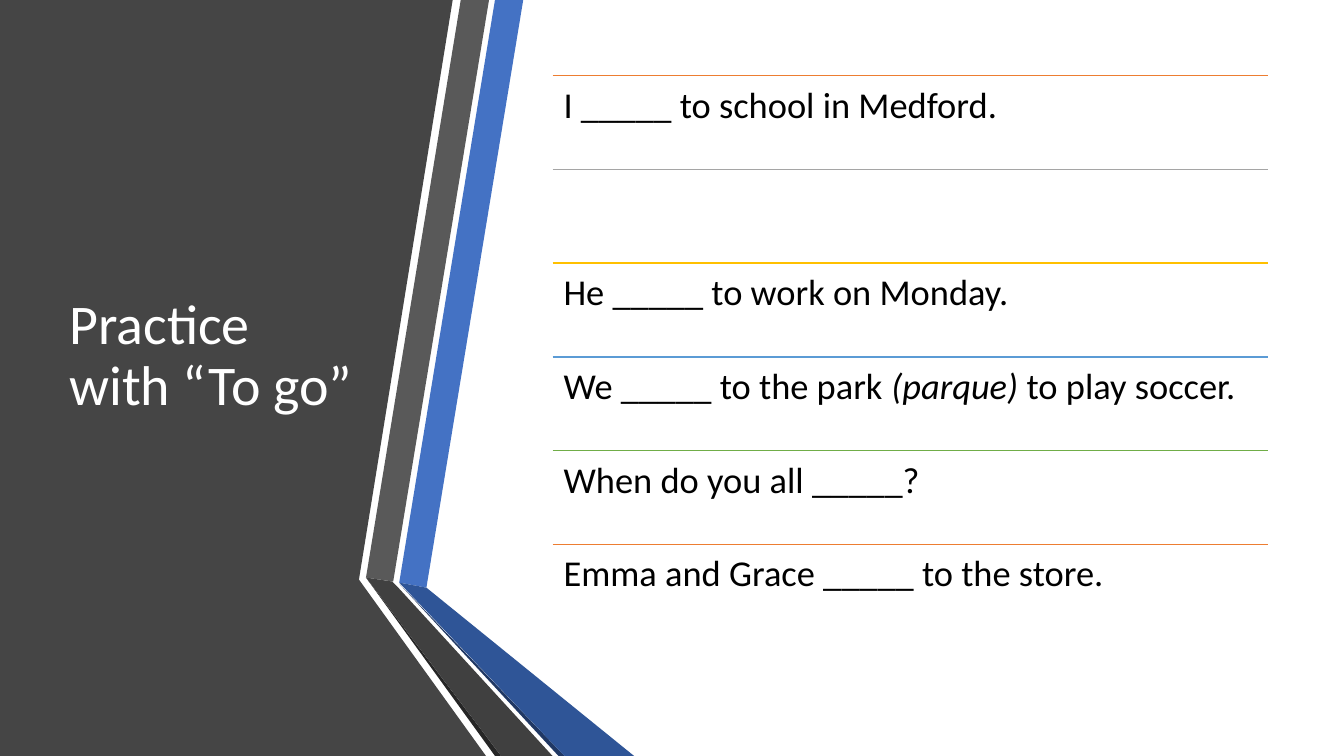
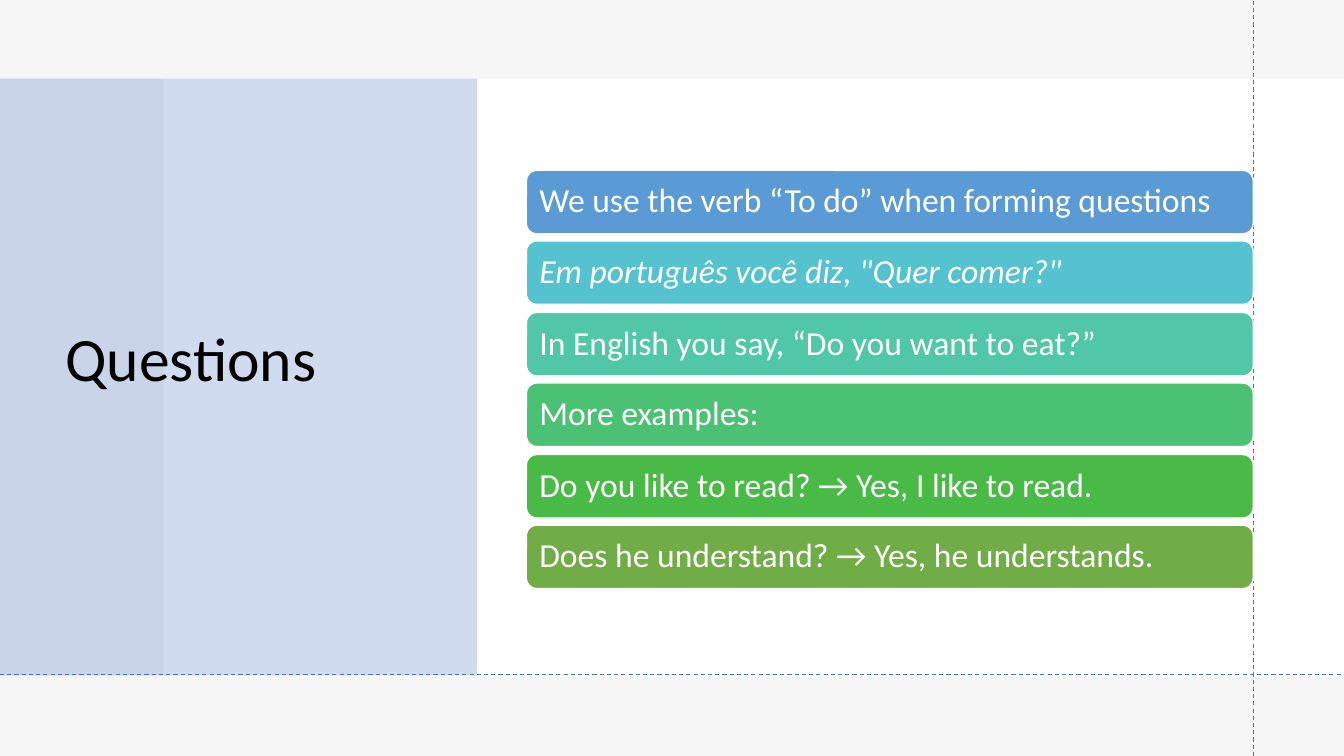
from dataclasses import dataclass

from lxml.etree import SubElement
from pptx import Presentation
from pptx.dml.color import RGBColor
from pptx.enum.dml import MSO_LINE
from pptx.enum.shapes import MSO_CONNECTOR, MSO_SHAPE
from pptx.enum.text import MSO_ANCHOR, PP_ALIGN
from pptx.oxml.ns import qn
from pptx.util import Pt

PX = 9144
WIDTH, HEIGHT = 1333, 750


@dataclass(frozen=True)
class Theme:
    """Colours and type sizes of the deck."""
    font: str = "Calibri"
    white: str = "FFFFFF"
    black: str = "000000"
    pale: str = "F7F6F6"
    charcoal: str = "454545"
    blue: str = "4472C4"
    blue_dark: str = "2F5597"
    blue_deep: str = "203864"
    grey: str = "595959"
    grey_dark: str = "404040"
    grey_deep: str = "262626"
    rules: tuple = ("ED7D31", "A5A5A5", "FFC000", "5B9BD5", "70AD47", "ED7D31")
    bars: tuple = ("5B9BD5", "55C3CF", "50C8A7", "4BC174", "4ABA46", "70AD47")
    side_title: int = 40
    panel_title: int = 44
    sentence: int = 26
    bar: int = 24


THEME = Theme()


class Painter:
    """Draws styled elements on the current slide."""

    def __init__(self, deck, theme):
        """Keep the deck and its theme."""
        self.deck, self.theme, self.page = deck, theme, None

    def new_page(self, color):
        """Start a blank slide with a plain background."""
        self.page = self.deck.slides.add_slide(self.deck.slide_layouts[6])
        self.paint(self.page.background.fill, color)

    def paint(self, fill, color):
        """Apply a solid colour to a fill."""
        fill.solid()
        fill.fore_color.rgb = RGBColor.from_string(color)

    def finish(self, shape, color, outline=None):
        """Set fill and outline and drop the shadow."""
        shape.shadow.inherit = False
        self.paint(shape.fill, color)
        if outline:
            self.paint(shape.line.fill, outline)
            shape.line.width = Pt(1)
        else:
            shape.line.fill.background()
        return shape

    def shape(self, kind, area, color, outline=None):
        """Add a preset shape."""
        edges = [length * PX for length in area]
        return self.finish(self.page.shapes.add_shape(kind, *edges), color, outline)

    def panel(self, area, color, opacity=100):
        """Add a rectangle, translucent when opacity is below 100."""
        box = self.shape(MSO_SHAPE.RECTANGLE, area, color)
        if opacity < 100:
            tone = box._element.spPr.find(qn("a:solidFill"))[0]
            SubElement(tone, qn("a:alpha"), val=str(opacity * 1000))

    def polygon(self, points, color):
        """Add a closed outline."""
        builder = self.page.shapes.build_freeform(*points[0], scale=PX)
        builder.add_line_segments(points[1:], close=True)
        self.finish(builder.convert_to_shape(), color)

    def line(self, start, end, color, width=1, dash=None):
        """Add a straight line."""
        ends = [length * PX for length in (*start, *end)]
        rule = self.page.shapes.add_connector(MSO_CONNECTOR.STRAIGHT, *ends)
        self.paint(rule.line.fill, color)
        rule.line.width = Pt(width)
        if dash:
            rule.line.dash_style = dash
        SubElement(rule._element.spPr, qn("a:effectLst"))

    def fill_text(self, box, text, size, color, anchor, inset):
        """Fill a box with one paragraph; asterisks enclose italics."""
        frame = box.text_frame
        frame.word_wrap = True
        frame.vertical_anchor = anchor
        frame.margin_left = frame.margin_right = inset * PX
        frame.margin_top = frame.margin_bottom = inset * PX
        para = frame.paragraphs[0]
        para.alignment = PP_ALIGN.LEFT
        para.line_spacing = 0.9
        para.font.name, para.font.size = self.theme.font, Pt(size)
        para.font.color.rgb = RGBColor.from_string(color)
        parts = [(part, index % 2 == 1) for index, part in enumerate(text.split("*")) if part]
        for part, italic in parts:
            span = para.add_run()
            span.text = part
            if italic:
                target = para if len(parts) == 1 else span
                target.font.italic = True

    def text(self, area, text, size, color, anchor=MSO_ANCHOR.TOP, inset=11):
        """Add a text box."""
        box = self.page.shapes.add_textbox(*[length * PX for length in area])
        self.fill_text(box, text, size, color, anchor, inset)

    def title(self, area, text, size, color):
        """Add a slide title, centred vertically."""
        self.text(area, text, size, color, MSO_ANCHOR.MIDDLE, 10)

    def bar(self, area, text, color):
        """Add a rounded bar with its text."""
        box = self.shape(MSO_SHAPE.ROUNDED_RECTANGLE, area, color, self.theme.white)
        self.fill_text(box, text, self.theme.bar, self.theme.white, MSO_ANCHOR.MIDDLE, 10)


def build_practice(painter):
    """Draw the fill-in-the-blank slide."""
    theme = painter.theme
    painter.new_page(theme.white)
    ribbons = (
        (theme.charcoal, [(0, 0), (449, 0), (356, 575), (482, 750), (0, 750)]),
        (theme.blue, [(396, 578), (423, 583), (519, 0), (491, 0)]),
        (theme.grey, [(485, 0), (457, 0), (363, 573), (390, 577)]),
        (theme.grey_deep, [(363, 573), (491, 750), (497, 750)]),
        (theme.blue_deep, [(396, 579), (554, 750), (560, 750)]),
        (theme.blue_dark, [(396, 578), (560, 750), (629, 750), (423, 583)]),
        (theme.grey_dark, [(363, 573), (497, 750), (548, 750), (395, 583), (389, 577)]),
    )
    for color, points in ribbons:
        painter.polygon(points, color)
    painter.title((59, 75, 304, 558), "Practice with “To go”", theme.side_title, theme.white)

    sentences = (
        "I _____ to school in Medford.",
        "",
        "He _____ to work on Monday.",
        "We _____ to the park *(parque)* to play soccer.",
        "When do you all _____?",
        "Emma and Grace _____ to the store.",
    )
    left, top, width, height = 548, 75, 710, 93
    for row, (sentence, color) in enumerate(zip(sentences, theme.rules)):
        y = top + row * height
        painter.line((left, y), (left + width, y), color)
        if sentence:
            painter.text((left, y, width, height), sentence, theme.sentence, theme.black)


def build_questions(painter):
    """Draw the slide on forming questions."""
    theme = painter.theme
    painter.new_page(theme.pale)
    painter.panel((162, 78, WIDTH - 162, 594), theme.white)
    painter.panel((0, 78, 473, 592), theme.blue, opacity=25)
    painter.title((55, 74, 395, 569), "Questions", theme.panel_title, theme.black)
    for start, end in (((1243, HEIGHT), (1243, 0)), ((0, 669), (WIDTH, 669))):
        painter.line(start, end, theme.blue, 0.75, MSO_LINE.DASH)

    statements = (
        "We use the verb “To do” when forming questions",
        "*Em português você diz, \"Quer comer?\"*",
        "In English you say, “Do you want to eat?”",
        "More examples:",
        "Do you like to read? → Yes, I like to read.",
        "Does he understand? → Yes, he understands.",
    )
    for row, (statement, color) in enumerate(zip(statements, theme.bars)):
        painter.bar((522, 169 + round(row * 70.4), 721, 63), statement, color)


def main():
    """Build and save the deck."""
    deck = Presentation()
    deck.slide_width, deck.slide_height = WIDTH * PX, HEIGHT * PX
    painter = Painter(deck, THEME)
    build_practice(painter)
    build_questions(painter)
    deck.save("out.pptx")


if __name__ == "__main__":
    main()
